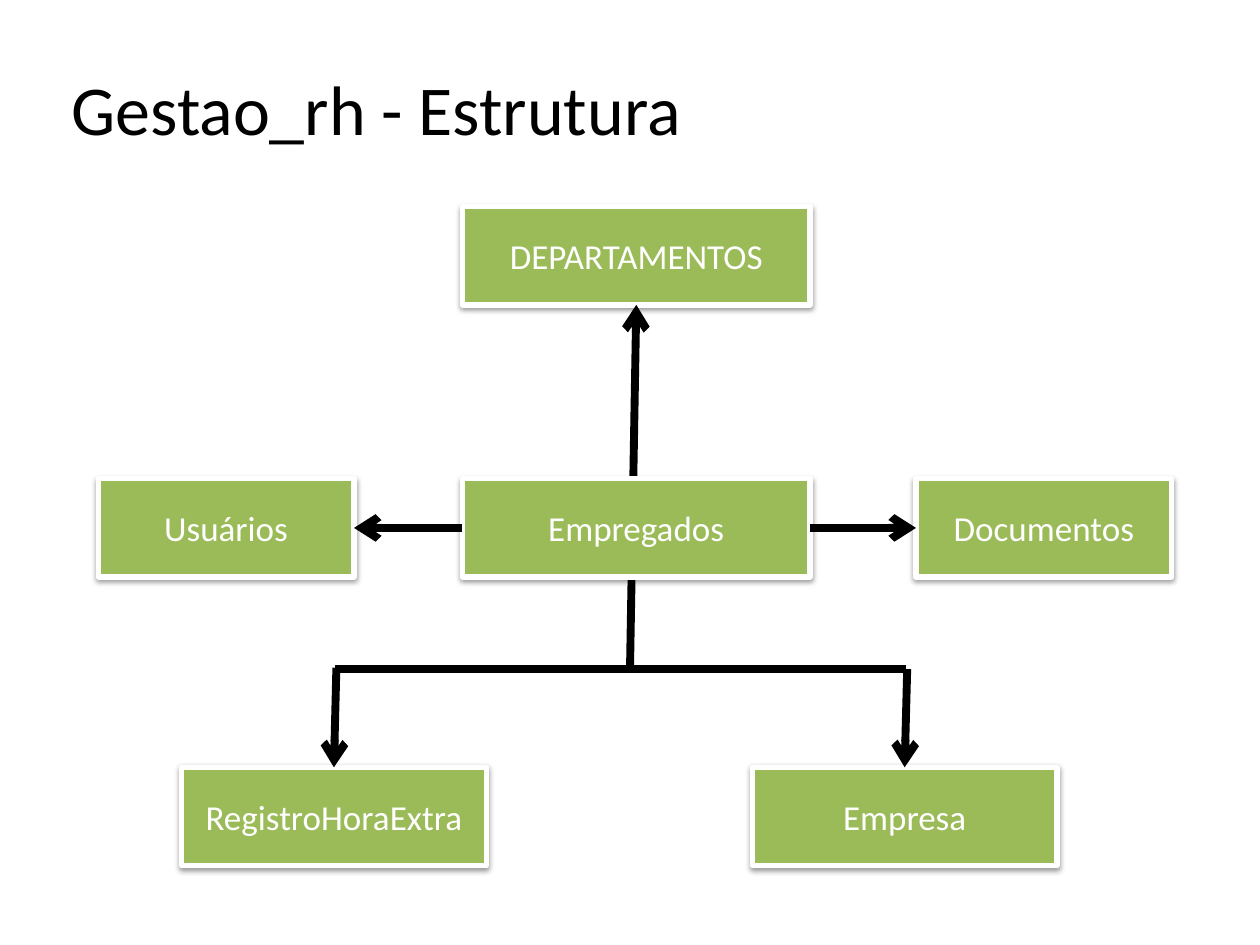
import pptx
import pptx.util
from pptx.dml.color import RGBColor
from pptx.enum.shapes import MSO_CONNECTOR, MSO_SHAPE
from pptx.enum.text import MSO_ANCHOR, MSO_AUTO_SIZE, PP_ALIGN
from pptx.oxml import parse_xml
from pptx.oxml.ns import nsdecls, qn
from pptx.util import Inches

GREEN = RGBColor(0x9B, 0xBB, 0x59)
WHITE = RGBColor(0xFF, 0xFF, 0xFF)
BLACK = RGBColor(0x00, 0x00, 0x00)

TOP, LEFT, BOTTOM, RIGHT = range(4)
BOX_HEIGHT = 0.78
SOFT_SHADOW = (
    f'<a:effectLst {nsdecls("a")}>'
    '<a:outerShdw blurRad="40000" dist="20000" dir="5400000" rotWithShape="0">'
    '<a:srgbClr val="000000"><a:alpha val="38000"/></a:srgbClr>'
    '</a:outerShdw></a:effectLst>'
)
NO_SHADOW = f'<a:effectLst {nsdecls("a")}/>'
ARROWHEAD = f'<a:tailEnd {nsdecls("a")} type="arrow"/>'


class Diagram:
    """Draws the elements of one slide in a shared style."""

    font = "Calibri"

    def __init__(self, slide):
        self.slide = slide

    def label(self, frame, text, size, color):
        frame.text = text
        font = frame.paragraphs[0].runs[0].font
        font.name = self.font
        font.size = pptx.util.Pt(size)
        font.color.rgb = color

    def title(self, text, left, top, width, height):
        box = self.slide.shapes.add_textbox(
            Inches(left), Inches(top), Inches(width), Inches(height))
        box.text_frame.word_wrap = True
        box.text_frame.auto_size = MSO_AUTO_SIZE.SHAPE_TO_FIT_TEXT
        self.label(box.text_frame, text, 40, BLACK)

    def entity(self, text, left, top, width):
        box = self.slide.shapes.add_shape(
            MSO_SHAPE.RECTANGLE,
            Inches(left), Inches(top), Inches(width), Inches(BOX_HEIGHT))
        box.fill.solid()
        box.fill.fore_color.rgb = GREEN
        box.line.color.rgb = WHITE
        box.line.width = pptx.util.Pt(3)
        box._element.spPr.append(parse_xml(SOFT_SHADOW))
        frame = box.text_frame
        frame.word_wrap = True
        frame.vertical_anchor = MSO_ANCHOR.MIDDLE
        self.label(frame, text, 20, WHITE)
        frame.paragraphs[0].alignment = PP_ALIGN.CENTER
        return box

    def line(self, start, end, arrow=True, source=None, target=None):
        """Draw a line; source and target are (box, side) pairs to join."""
        connector = self.slide.shapes.add_connector(
            MSO_CONNECTOR.STRAIGHT, *map(Inches, start + end))
        if source:
            connector.begin_connect(*source)
        if target:
            connector.end_connect(*target)
        connector.line.color.rgb = BLACK
        connector.line.width = pptx.util.Pt(4.5)
        properties = connector._element.spPr
        if arrow:
            properties.find(qn("a:ln")).append(parse_xml(ARROWHEAD))
        properties.append(parse_xml(NO_SHADOW))


def main():
    presentation = pptx.Presentation()
    presentation.slide_width = Inches(10)
    presentation.slide_height = Inches(7.5)
    diagram = Diagram(presentation.slides.add_slide(presentation.slide_layouts[6]))

    diagram.title("Gestao_rh - Estrutura", 0.47, 0.47, 8.2, 0.77)

    # Entities around the centre
    departments = diagram.entity("DEPARTAMENTOS", 3.67, 1.64, 2.76)
    users = diagram.entity("Usuários", 0.78, 3.8, 2.03)
    documents = diagram.entity("Documentos", 7.27, 3.8, 2.03)
    overtime = diagram.entity("RegistroHoraExtra", 1.44, 6.09, 2.42)
    company = diagram.entity("Empresa", 5.97, 6.09, 2.42)

    # The trunk passes behind the central entity
    diagram.line((5, 5.31), (5.05, 2.42), target=(departments, BOTTOM))
    employees = diagram.entity("Empregados", 3.67, 3.8, 2.76)

    # Side arrows
    diagram.line((3.67, 4.19), (2.81, 4.19),
                 source=(employees, LEFT), target=(users, RIGHT))
    diagram.line((6.43, 4.19), (7.27, 4.19),
                 source=(employees, RIGHT), target=(documents, LEFT))

    # Lower branch
    diagram.line((2.66, 5.31), (7.19, 5.31), arrow=False)
    diagram.line((2.67, 5.3), (2.66, 6.09), target=(overtime, TOP))
    diagram.line((7.2, 5.31), (7.19, 6.1), target=(company, TOP))

    presentation.save("out.pptx")


if __name__ == "__main__":
    main()
